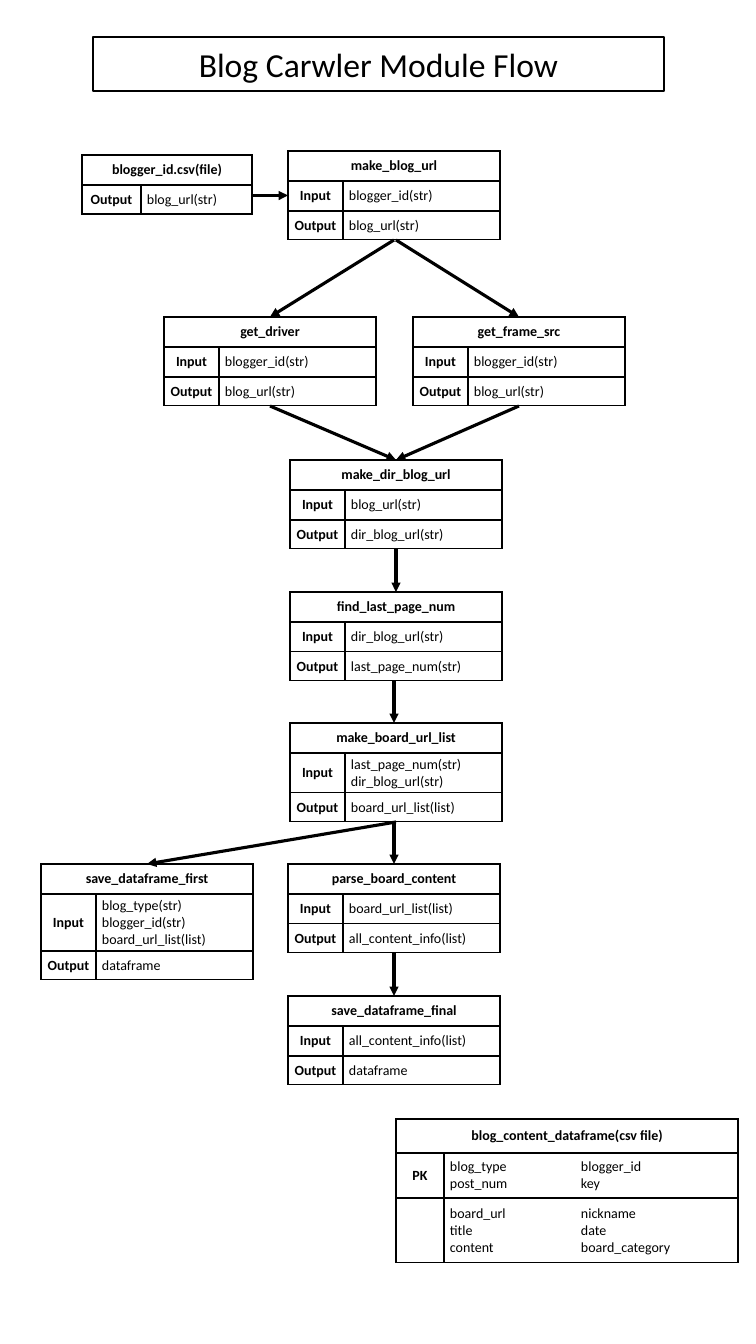
from lxml.etree import SubElement
from pptx import Presentation
from pptx.dml.color import RGBColor
from pptx.enum.shapes import MSO_CONNECTOR, MSO_SHAPE
from pptx.enum.text import MSO_ANCHOR, PP_ALIGN
from pptx.oxml import parse_xml
from pptx.oxml.ns import nsdecls, qn
from pptx.util import Pt

PX = 914400 / 100.8
SLIDE = (756, 1344)
THEME = {"font": "Calibri", "ink": "000000", "title": 24, "body": 10,
         "border": 1, "arrow": 2.25}

TITLE = ("Blog Carwler Module Flow", (93, 37, 571, 54))

# name: (left, top, input lines, output)
MODULES = {
    "make_blog_url": (288, 151, ["blogger_id(str)"], "blog_url(str)"),
    "get_driver": (164, 317, ["blogger_id(str)"], "blog_url(str)"),
    "get_frame_src": (413, 317, ["blogger_id(str)"], "blog_url(str)"),
    "make_dir_blog_url": (290, 460, ["blog_url(str)"], "dir_blog_url(str)"),
    "find_last_page_num": (290, 592, ["dir_blog_url(str)"], "last_page_num(str)"),
    "make_board_url_list": (290, 723, ["last_page_num(str)", "dir_blog_url(str)"],
                            "board_url_list(list)"),
    "save_dataframe_first": (41, 864, ["blog_type(str)", "blogger_id(str)",
                                       "board_url_list(list)"], "dataframe"),
    "parse_board_content": (288, 864, ["board_url_list(list)"],
                            "all_content_info(list)"),
    "save_dataframe_final": (288, 996, ["all_content_info(list)"], "dataframe"),
}
SOURCE_FILE = ("blogger_id.csv(file)", 82, 155, [("Output", ["blog_url(str)"])])
RESULT_FILE = ("blog_content_dataframe(csv file)", 396, 1119, [
    ("PK", ["blog_type\tblogger_id", "post_num\tkey"]),
    ("", ["board_url\tnickname", "title\tdate", "content\tboard_category"]),
])

# from, to, sideways shift of the start and of the end
FLOWS = [
    ("make_blog_url", "get_driver", 0, 0),
    ("make_blog_url", "get_frame_src", 2, 0),
    ("get_driver", "make_dir_blog_url", 0, 0),
    ("get_frame_src", "make_dir_blog_url", 0, 0),
    ("make_dir_blog_url", "find_last_page_num", 0, 0),
    ("find_last_page_num", "make_board_url_list", -2, -2),
    ("make_board_url_list", "parse_board_content", -2, 0),
    ("make_board_url_list", "save_dataframe_first", 0, 0),
    ("parse_board_content", "save_dataframe_final", 0, 0),
]

MODULE_COLS, SOURCE_COLS, RESULT_COLS = (55, 157), (59, 111), (48, 294)
HEADER_H, INPUT_H, OUTPUT_H = 30, 30, 29
RESULT_ROWS = (34, 45, 65)
LINE_H, CELL_PAD = 17, 6
PAD_X, PAD_Y, TAB = 6, 3, 131


def emu(px):
    """Turn pixels into EMU."""
    return round(px * PX)


def style(p, size, bold=False, align=PP_ALIGN.LEFT):
    """Format every run of a paragraph."""
    p.alignment = align
    for r in p.runs:
        r.font.name, r.font.size, r.font.bold = THEME["font"], Pt(size), bold
        r.font.color.rgb = RGBColor.from_string(THEME["ink"])


def add_borders(cell):
    """Draw thin lines on all four sides of a cell."""
    tc_pr = cell._tc.get_or_add_tcPr()
    for i, side in enumerate("LRTB"):
        tc_pr.insert(i, parse_xml(
            f'<a:ln{side} {nsdecls("a")} w="{Pt(THEME["border"])}"><a:solidFill>'
            f'<a:srgbClr val="{THEME["ink"]}"/></a:solidFill></a:ln{side}>'))


def fill_cell(cell, lines, label):
    """Write lines into a cell; labels are bold and centred."""
    cell.fill.background()
    cell.vertical_anchor = MSO_ANCHOR.MIDDLE
    cell.margin_left = cell.margin_right = emu(PAD_X)
    cell.margin_top = cell.margin_bottom = emu(PAD_Y)
    cell.text_frame.text = "\n".join(lines)
    for p in cell.text_frame.paragraphs:
        style(p, THEME["body"], label, PP_ALIGN.CENTER if label else PP_ALIGN.LEFT)
        if "\t" in p.text:
            tabs = SubElement(p._p.get_or_add_pPr(), qn("a:tabLst"))
            SubElement(tabs, qn("a:tab"), pos=str(emu(TAB)), algn="l")
    add_borders(cell)


def add_box(shapes, name, left, top, rows, cols, heights):
    """Add a titled table and return its left, top, width and height."""
    box = (left, top, sum(cols), sum(heights))
    table = shapes.add_table(len(heights), 2, *map(emu, box)).table
    table.first_row = table.horz_banding = False
    for col, width in zip(table.columns, cols):
        col.width = emu(width)
    for row, height in zip(table.rows, heights):
        row.height = emu(height)
    table.cell(0, 0).merge(table.cell(0, 1))
    fill_cell(table.cell(0, 0), [name], True)
    add_borders(table.cell(0, 1))
    for i, (label, lines) in enumerate(rows, 1):
        fill_cell(table.cell(i, 0), [label], True)
        fill_cell(table.cell(i, 1), lines, False)
    return box


def add_arrow(shapes, *ends):
    """Add an arrow from x1, y1 to x2, y2."""
    sp = shapes.add_connector(MSO_CONNECTOR.STRAIGHT, *map(emu, ends))
    sp.line.width = Pt(THEME["arrow"])
    sp.line.color.rgb = RGBColor.from_string(THEME["ink"])
    sp_pr = sp.element.spPr
    SubElement(sp_pr.find(qn("a:ln")), qn("a:tailEnd"), type="triangle")
    SubElement(sp_pr, qn("a:effectLst"))


def add_title(shapes):
    """Add the framed heading."""
    text, box = TITLE
    sp = shapes.add_shape(MSO_SHAPE.RECTANGLE, *map(emu, box))
    sp.shadow.inherit = False
    sp.fill.background()
    sp.line.width = Pt(THEME["border"])
    sp.line.color.rgb = RGBColor.from_string(THEME["ink"])
    tf = sp.text_frame
    tf.text, tf.vertical_anchor = text, MSO_ANCHOR.MIDDLE
    style(tf.paragraphs[0], THEME["title"], align=PP_ALIGN.CENTER)


def main():
    """Build the slide and save it."""
    prs = Presentation()
    prs.slide_width, prs.slide_height = map(emu, SLIDE)
    shapes = prs.slides.add_slide(prs.slide_layouts[6]).shapes
    add_title(shapes)

    boxes = {}
    for name, (left, top, inputs, output) in MODULES.items():
        rows = [("Input", inputs), ("Output", [output])]
        input_h = max(INPUT_H, LINE_H * len(inputs) + CELL_PAD)
        boxes[name] = add_box(shapes, name, left, top, rows, MODULE_COLS,
                              (HEADER_H, input_h, OUTPUT_H))
    source = add_box(shapes, *SOURCE_FILE, SOURCE_COLS, (HEADER_H, OUTPUT_H))
    add_box(shapes, *RESULT_FILE, RESULT_COLS, RESULT_ROWS)

    left, top, _, height = boxes["make_blog_url"]
    middle = top + height / 2
    add_arrow(shapes, source[0] + source[2], middle, left, middle)
    for start, end, shift_start, shift_end in FLOWS:
        x1, y1, w1, h1 = boxes[start]
        x2, y2, w2, _ = boxes[end]
        add_arrow(shapes, x1 + w1 / 2 + shift_start, y1 + h1,
                  x2 + w2 / 2 + shift_end, y2)
    prs.save("out.pptx")


main()
